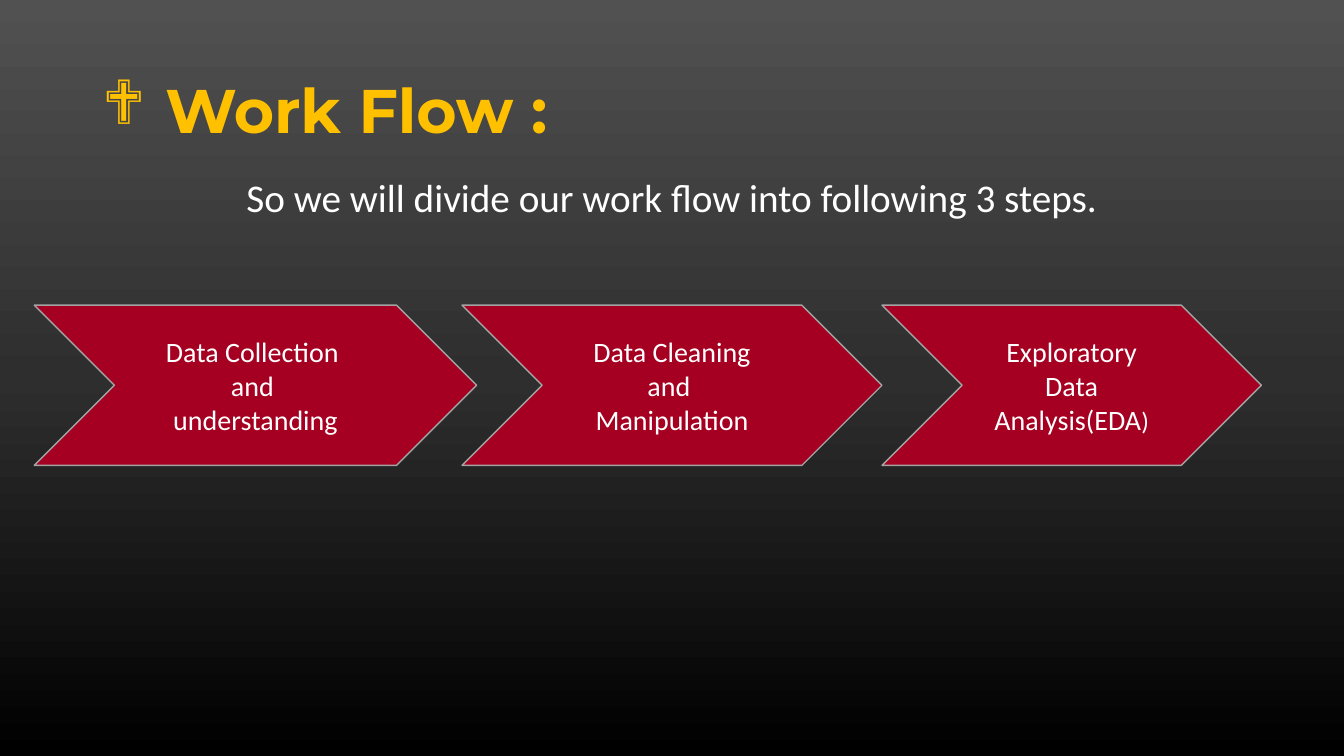
from copy import deepcopy
from dataclasses import dataclass

from lxml.etree import SubElement
from pptx import Presentation
from pptx.dml.color import RGBColor
from pptx.enum.shapes import MSO_SHAPE
from pptx.enum.text import MSO_ANCHOR, MSO_AUTO_SIZE, PP_ALIGN
from pptx.oxml.ns import qn
from pptx.util import Pt


@dataclass(frozen=True)
class Theme:
    back: tuple = ("515151", "2E2E2E", "000000")
    gold: str = "FFC000"
    red: str = "A50021"
    edge: str = "A3A3A3"
    white: str = "FFFFFF"
    black: str = "000000"
    head: str = "Montserrat"
    body: str = "Calibri"
    title: int = 44
    intro: int = 28
    step: int = 20
    small: int = 18


THEME = Theme()

STEPS = [
    (316, [["Data Collection "], ["and "], ["understanding"]]),
    (300, [["Data Cleaning"], ["and "], ["Manipulation"]]),
    (271, [["Exploratory"], [" Data "], ["Analysis(EDA", ")"]]),
]
LEFTS = (24.5, 330, 630)


def write(para, text, size, color=THEME.white, font=THEME.body, bold=False):
    run = para.add_run()
    run.text = text
    run.font.size = Pt(size)
    run.font.name = font
    run.font.bold = bold
    run.font.color.rgb = RGBColor.from_string(color)
    return run


def place(shape, box):
    shape.left, shape.top, shape.width, shape.height = map(Pt, box)


def paint(slide):
    fill = slide.background.fill
    fill.gradient()
    fill.gradient_angle = 270
    stops = next(slide.element.iter(qn("a:gsLst")))
    stops.append(deepcopy(stops[0]))
    for i, (stop, color) in enumerate(zip(fill.gradient_stops, THEME.back)):
        stop.position = i / 2
        stop.color.rgb = RGBColor.from_string(color)


def add_title(slide, box):
    title = slide.shapes.title
    place(title, box)
    frame = title.text_frame
    frame.auto_size = MSO_AUTO_SIZE.NONE
    frame.vertical_anchor = MSO_ANCHOR.MIDDLE
    para = frame.paragraphs[0]
    para.alignment = PP_ALIGN.LEFT
    para.line_spacing = 0.9
    run = write(para, "Work Flow :", THEME.title, color=THEME.gold,
                font=THEME.head, bold=True)
    props = para._p.get_or_add_pPr()
    props.set("marL", str(Pt(45)))
    props.set("indent", str(Pt(-45)))
    SubElement(props, qn("a:buFont"), typeface="Wingdings")
    SubElement(props, qn("a:buChar"), char="❖")
    format = run._r.get_or_add_rPr()
    line = SubElement(format, qn("a:ln"), w=str(Pt(0.75)))
    paint = SubElement(line, qn("a:solidFill"))
    SubElement(paint, qn("a:srgbClr"), val=THEME.black)
    format.insert(0, line)


def add_intro(slide, box):
    intro = slide.shapes.add_textbox(*map(Pt, box))
    frame = intro.text_frame
    frame.word_wrap = False
    frame.auto_size = MSO_AUTO_SIZE.SHAPE_TO_FIT_TEXT
    write(frame.paragraphs[0],
          "So we will divide our work flow into following 3 steps.", THEME.intro)


def add_step(slide, box, lines):
    step = slide.shapes.add_shape(MSO_SHAPE.CHEVRON, *map(Pt, box))
    step.shadow.inherit = False
    step.fill.solid()
    step.fill.fore_color.rgb = RGBColor.from_string(THEME.red)
    step.line.color.rgb = RGBColor.from_string(THEME.edge)
    step.line.width = Pt(1)
    frame = step.text_frame
    frame.word_wrap = True
    frame.vertical_anchor = MSO_ANCHOR.MIDDLE
    for i, parts in enumerate(lines):
        para = frame.add_paragraph() if i else frame.paragraphs[0]
        para.alignment = PP_ALIGN.CENTER
        for part in parts:
            write(para, part, THEME.small if part == ")" else THEME.step)


def add_flow(slide, top, height):
    for left, (width, lines) in zip(LEFTS, STEPS):
        add_step(slide, (left, top, width, height), lines)


def main():
    deck = Presentation()
    deck.slide_width, deck.slide_height = Pt(960), Pt(540)
    slide = deck.slides.add_slide(deck.slide_layouts[5])
    paint(slide)
    add_title(slide, (66, 28.75, 828, 104.4))
    add_flow(slide, 218, 114.4)
    add_intro(slide, (169, 120, 628.5, 41))
    deck.save("out.pptx")


if __name__ == "__main__":
    main()
